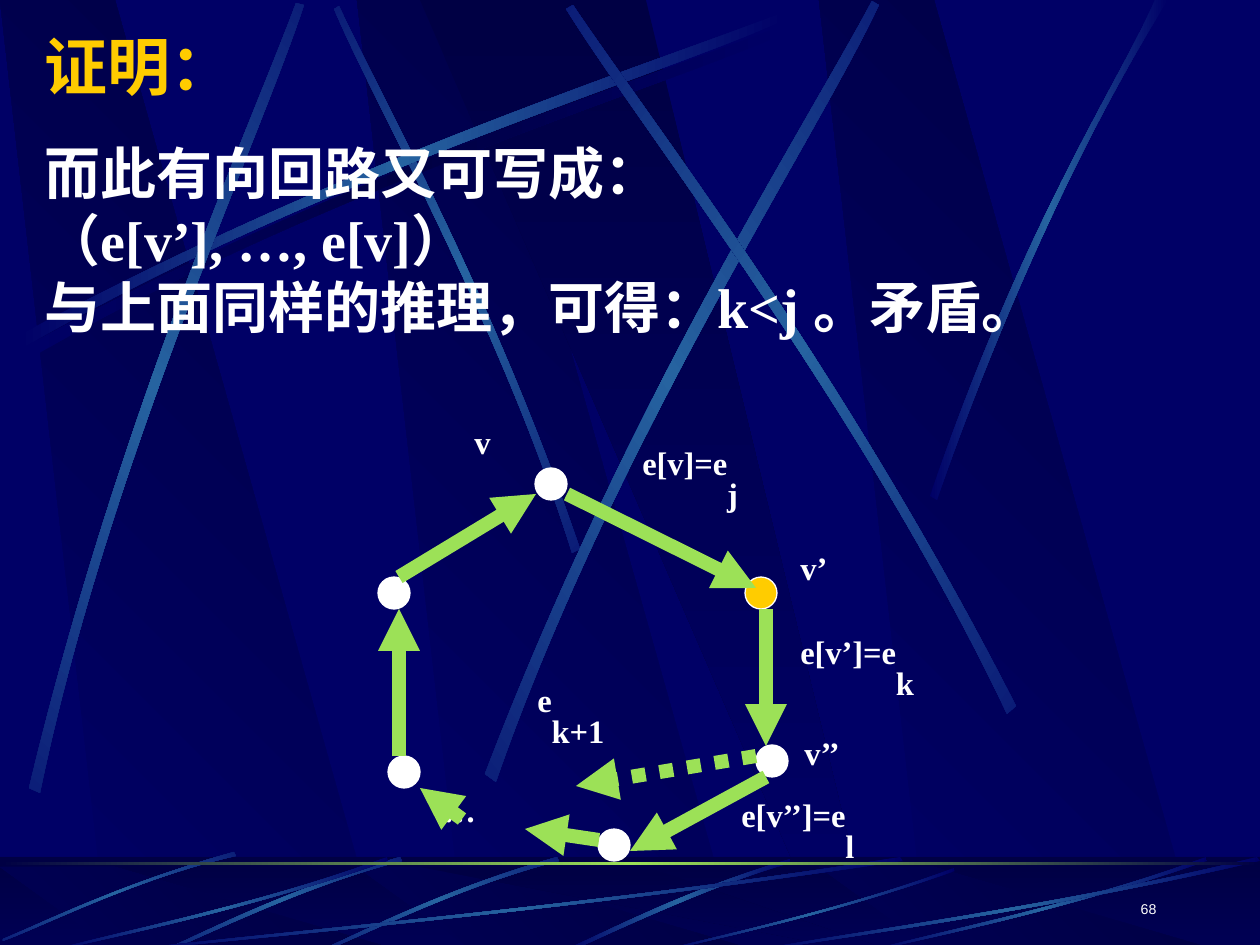
from math import cos, radians, sin

from lxml import etree
from pptx import Presentation
from pptx.dml.color import RGBColor
from pptx.enum.dml import MSO_LINE
from pptx.enum.shapes import MSO_CONNECTOR, MSO_SHAPE
from pptx.enum.text import MSO_ANCHOR, MSO_AUTO_SIZE, PP_ALIGN
from pptx.oxml.ns import qn
from pptx.util import Pt

SCALE = 914400 / 126
WIDTH, HEIGHT = 1260, 945
RECTANGLE, OVAL = MSO_SHAPE.RECTANGLE, MSO_SHAPE.OVAL
STRAIGHT, DOTTED = MSO_CONNECTOR.STRAIGHT, MSO_LINE.ROUND_DOT
LEFT, RIGHT, JUSTIFY = PP_ALIGN.LEFT, PP_ALIGN.RIGHT, PP_ALIGN.JUSTIFY
TOP, MIDDLE, BOTTOM = MSO_ANCHOR.TOP, MSO_ANCHOR.MIDDLE, MSO_ANCHOR.BOTTOM

NAVY, DARK, BLUE = "000066", "000044", "2663A0"
WHITE, GOLD, GREEN = "FFFFFF", "FFCC00", "9CE157"
SERIF, SANS = "Times New Roman", "Arial"
RAISED, LOWERED = 30000, -25000

TITLE = "证明："
BODY = [("而此有向回路又可写成：", LEFT),
        ("（e[v’], …, e[v]）", JUSTIFY),
        ("与上面同样的推理，可得：k<j 。矛盾。", LEFT)]

# Labels: left, top, width, wraps, main text, subscript
LABELS = [
    (431, 777, 82, False, "…", ""),
    (462, 409, 53, False, "v", ""),
    (788, 535, 105, True, "v’", ""),
    (630, 430, 199, True, "e[v]=e", "j"),
    (788, 619, 231, True, "e[v’]=e", "k"),
    (792, 720, 105, True, "v’’", ""),
    (729, 782, 231, True, "e[v’’]=e", "l"),
    (525, 667, 116, True, "e", "k+1"),
]
NODE_SIZE = 32
NODES = [(535, 468, WHITE), (745, 577, GOLD), (756, 745, WHITE),
         (378, 577, WHITE), (388, 756, WHITE), (598, 829, WHITE)]
# Arrows: start, end, dotted
ARROWS = [
    ((567, 494), (756, 588), False), ((766, 609), (766, 746), False),
    ((766, 777), (630, 851), False), ((599, 840), (525, 829), False),
    ((462, 819), (420, 788), False), ((399, 756), (399, 609), False),
    ((399, 577), (536, 494), False), ((756, 756), (576, 786), True),
]

# Background panels and streaks; a streak is two cubic curves
WALL_TOP, FLOOR_TOP = 0, 867
PANEL_SHIFTS = [357, 0, 819]
RISING = [(18, 336), (350, 158), (653, 64), (781, 13),
          (785, 20), (658, 77), (312, 179), (21, 349)]
FLOOR_SHORT = [(557, 857), (447, 888), (362, 932), (323, 949),
               (324, 951), (363, 936), (460, 886), (559, 861)]
FLOOR_LONG = [(388, 861), (243, 911), (111, 937), (54, 951),
              (53, 950), (108, 934), (260, 905), (387, 857)]
# Streaks: points, shift, rotation, middle colour
WALL_STREAKS = [
    (RISING, (8, 10), 0, DARK),
    ([(580, 549), (493, 295), (381, 97), (339, 6),
      (334, 9), (372, 100), (501, 325), (572, 553)], (0, 0), 45, BLUE),
    (RISING, (0, 0), 0, BLUE),
    ([(29, 788), (117, 421), (248, 132), (296, 3),
      (304, 5), (261, 137), (108, 464), (40, 793)], (0, 0), 311.7, BLUE),
    ([(485, 774), (627, 403), (804, 129), (872, 1),
      (879, 5), (818, 136), (612, 447), (496, 782)], (0, 0), 321.6, BLUE),
    ([(1016, 706), (844, 369), (650, 120), (573, 5),
      (566, 9), (639, 127), (863, 410), (1007, 714)], (0, 0), 34.7, BLUE),
    ([(930, 496), (1026, 218), (1119, 83), (1155, 0),
      (1168, 0), (1053, 183), (969, 406), (937, 500)], (0, 0), 0, BLUE),
]
FLOOR_STREAKS = [
    ([(790, 859), (677, 893), (601, 935), (564, 950),
      (571, 951), (617, 930), (719, 882), (791, 863)], (0, 0), 0, BLUE),
    (FLOOR_SHORT, (0, 0), 315, BLUE),
    (FLOOR_SHORT, (-157, 0), 315, BLUE),
    ([(234, 852), (125, 882), (40, 924), (3, 939),
      (3, 941), (42, 927), (137, 878), (236, 856)], (0, 0), 315, BLUE),
    ([(903, 861), (566, 911), (260, 937), (130, 951),
      (126, 950), (255, 934), (605, 905), (900, 857)], (0, 0), 0, BLUE),
    (FLOOR_LONG, (0, 0), 0, BLUE),
    ([(955, 871), (829, 915), (714, 939), (665, 951),
      (664, 950), (712, 937), (843, 910), (954, 868)], (0, 0), 0, BLUE),
    (FLOOR_LONG, (819, 0), 0, BLUE),
    ([(1260, 861), (1042, 911), (843, 937), (759, 951),
      (756, 950), (839, 934), (1066, 905), (1257, 857)], (0, 0), 0, BLUE),
]


def px(value):
    return round(value * SCALE)


def color(value):
    return RGBColor.from_string(value)


def fill_gradient(shape, colors, angle):
    shape.shadow.inherit = False
    shape.line.fill.background()
    shape.fill.gradient()
    gradient = shape._element.spPr.find(qn("a:gradFill"))
    stops = gradient.find(qn("a:gsLst"))
    for stop in list(stops):
        stops.remove(stop)
    for index, value in enumerate(colors):
        position = 100000 * index // (len(colors) - 1)
        stop = etree.SubElement(stops, qn("a:gs"), pos=str(position))
        etree.SubElement(stop, qn("a:srgbClr"), val=value)
    gradient.find(qn("a:lin")).set("ang", str(angle * 60000))


def add_outline(shapes, points, colors, angle):
    points = [(px(x), px(y)) for x, y in points]
    builder = shapes.build_freeform(*points[0], scale=1.0)
    builder.add_line_segments(points[1:], close=True)
    shape = builder.convert_to_shape()
    fill_gradient(shape, colors, angle)
    return shape


def turn(point, degrees):
    (x, y), angle = point, radians(degrees)
    return x * cos(angle) - y * sin(angle), x * sin(angle) + y * cos(angle)


def add_streaks(shapes, streaks):
    for points, (dx, dy), rotation, middle in streaks:
        level = [turn((x + dx, y + dy), -rotation) for x, y in points]
        shape = add_outline(shapes, level, [NAVY, middle, NAVY], 0)
        lines = list(shape._element.iter(qn("a:lnTo")))
        for curve in (lines[:3], lines[4:7]):
            bezier = etree.Element(qn("a:cubicBezTo"))
            curve[0].addprevious(bezier)
            for line in curve:
                bezier.append(line[0])
                line.getparent().remove(line)
        half_width, half_height = shape.width / 2, shape.height / 2
        x, y = turn((shape.left + half_width, shape.top + half_height), rotation)
        shape.left, shape.top = round(x - half_width), round(y - half_height)
        shape.rotation = rotation


def add_panels(shapes, top):
    for shift in PANEL_SHIFTS:
        corners = [(shift, top), (shift + 115, top), (shift + 381, HEIGHT), (shift + 108, HEIGHT)]
        add_outline(shapes, corners, [NAVY, DARK], 315)
    add_outline(shapes, [(420, top), (646, top), (874, HEIGHT), (829, HEIGHT)], [DARK, NAVY], 90)


def add_band(shapes, top, height, colors, angle):
    band = shapes.add_shape(RECTANGLE, 0, px(top), px(WIDTH), px(height))
    fill_gradient(band, colors, angle)
    return band


def add_background(slide):
    slide.background.fill.solid()
    slide.background.fill.fore_color.rgb = color(NAVY)
    group = slide.shapes.add_group_shape()
    shapes = group.shapes
    add_panels(shapes, WALL_TOP)
    add_streaks(shapes, WALL_STREAKS)
    add_band(shapes, 857, 88, [DARK, NAVY], 90)
    add_panels(shapes, FLOOR_TOP)
    veil = add_band(shapes, 857, 88, [DARK, DARK], 0)
    veil.fill.solid()
    veil.fill.fore_color.rgb = color(DARK)
    etree.SubElement(next(veil._element.spPr.iter(qn("a:srgbClr"))), qn("a:alpha"), val="50000")
    add_streaks(shapes, FLOOR_STREAKS)
    add_band(shapes, 862, 3, [DARK, GREEN, DARK], 0)
    slide.shapes._spTree.insert(2, group._element)


def place(shape, *box):
    shape.left, shape.top, shape.width, shape.height = map(px, box)


def set_frame(shape, anchor, wraps=True):
    frame = shape.text_frame
    frame.auto_size, frame.word_wrap, frame.vertical_anchor = MSO_AUTO_SIZE.NONE, wraps, anchor
    return frame


def add_run(paragraph, text, size, value=WHITE, font=SERIF, bold=True, baseline=0):
    run = paragraph.add_run()
    run.text = text
    run.font.size, run.font.name, run.font.bold = Pt(size), font, bold
    run.font.color.rgb = color(value)
    if baseline:
        run.font._element.set("baseline", str(baseline))


def add_content(slide):
    title, body = slide.shapes.title, slide.placeholders[1]
    place(title, 32, 21, 1071, 89)
    paragraph = set_frame(title, MIDDLE).paragraphs[0]
    paragraph.alignment = LEFT
    add_run(paragraph, TITLE, 36, GOLD)
    place(body, 32, 132, 1207, 781)
    frame = set_frame(body, TOP)
    for index, (text, alignment) in enumerate(BODY):
        paragraph = frame.add_paragraph() if index else frame.paragraphs[0]
        properties = paragraph._p.get_or_add_pPr()
        properties.set("marL", "0")
        properties.set("indent", "0")
        etree.SubElement(properties, qn("a:buNone"))
        paragraph.alignment, paragraph.space_before = alignment, Pt(0)
        add_run(paragraph, text, 32)


def add_graph(slide):
    for left, top, width, wraps, text, subscript in LABELS:
        box = slide.shapes.add_textbox(px(left), px(top), px(width), px(79))
        paragraph = set_frame(box, TOP, wraps).paragraphs[0]
        add_run(paragraph, text, 32, baseline=RAISED)
        if subscript:
            add_run(paragraph, subscript, 32, baseline=LOWERED)
    for left, top, value in NODES:
        node = slide.shapes.add_shape(OVAL, px(left), px(top), px(NODE_SIZE), px(NODE_SIZE))
        node.shadow.inherit = False
        node.fill.solid()
        node.fill.fore_color.rgb = color(value)
        node.line.color.rgb, node.line.width = color(WHITE), Pt(0.75)
    for start, end, dotted in ARROWS:
        arrow = slide.shapes.add_connector(STRAIGHT, *map(px, start + end))
        arrow.line.color.rgb, arrow.line.width = color(GREEN), Pt(8)
        if dotted:
            arrow.line.dash_style = DOTTED
        properties = arrow._element.spPr
        etree.SubElement(properties.find(qn("a:ln")), qn("a:tailEnd"), type="triangle")
        etree.SubElement(properties, qn("a:effectLst"))


presentation = Presentation()
presentation.slide_width, presentation.slide_height = px(WIDTH), px(HEIGHT)
slide = presentation.slides.add_slide(presentation.slide_layouts[1])
add_background(slide)
add_content(slide)
add_graph(slide)
# Slide number
number = slide.shapes.add_textbox(px(907), px(870), px(262), px(63))
paragraph = set_frame(number, BOTTOM).paragraphs[0]
paragraph.alignment = RIGHT
add_run(paragraph, "68", 14, font=SANS, bold=False, baseline=RAISED)
presentation.save("out.pptx")
